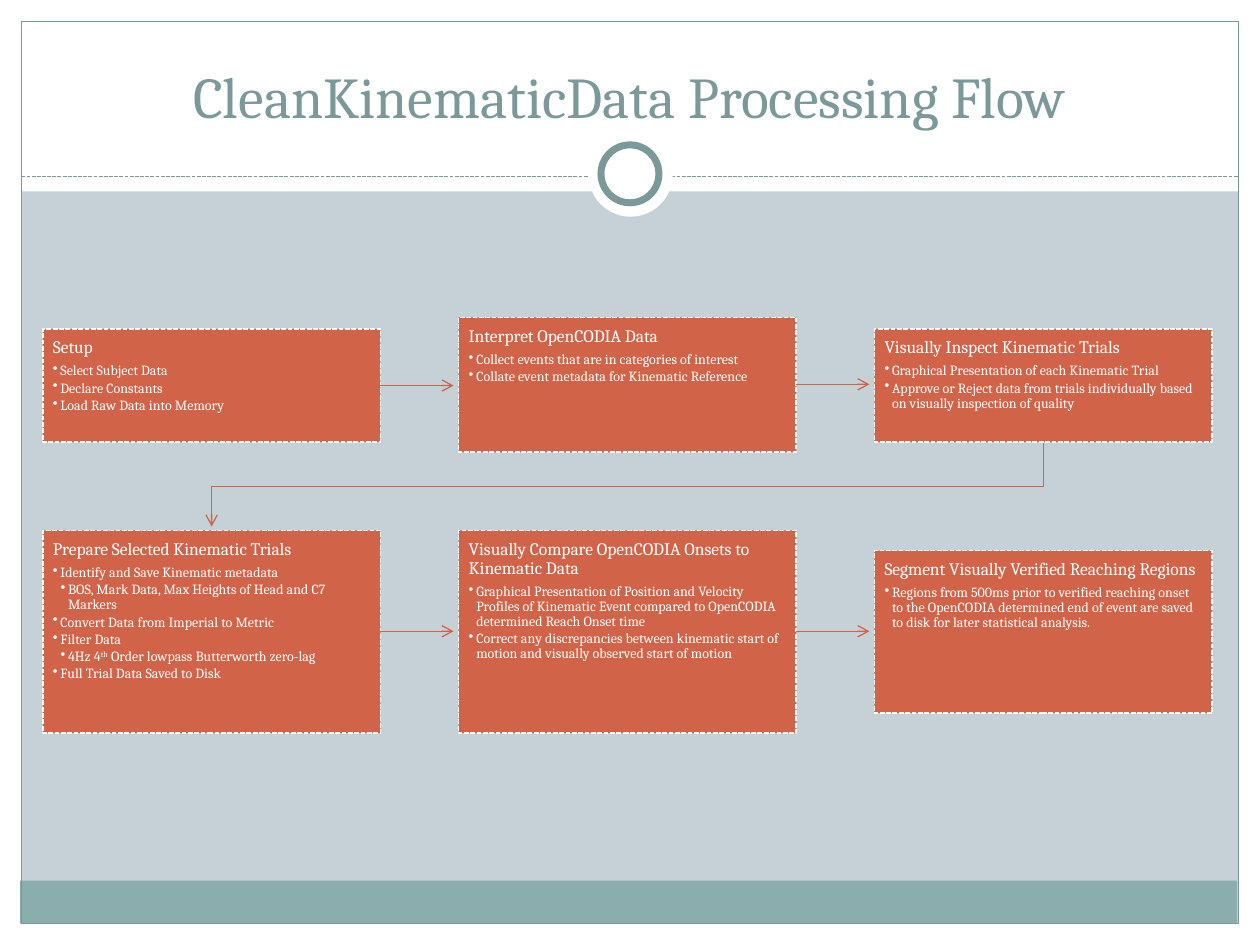
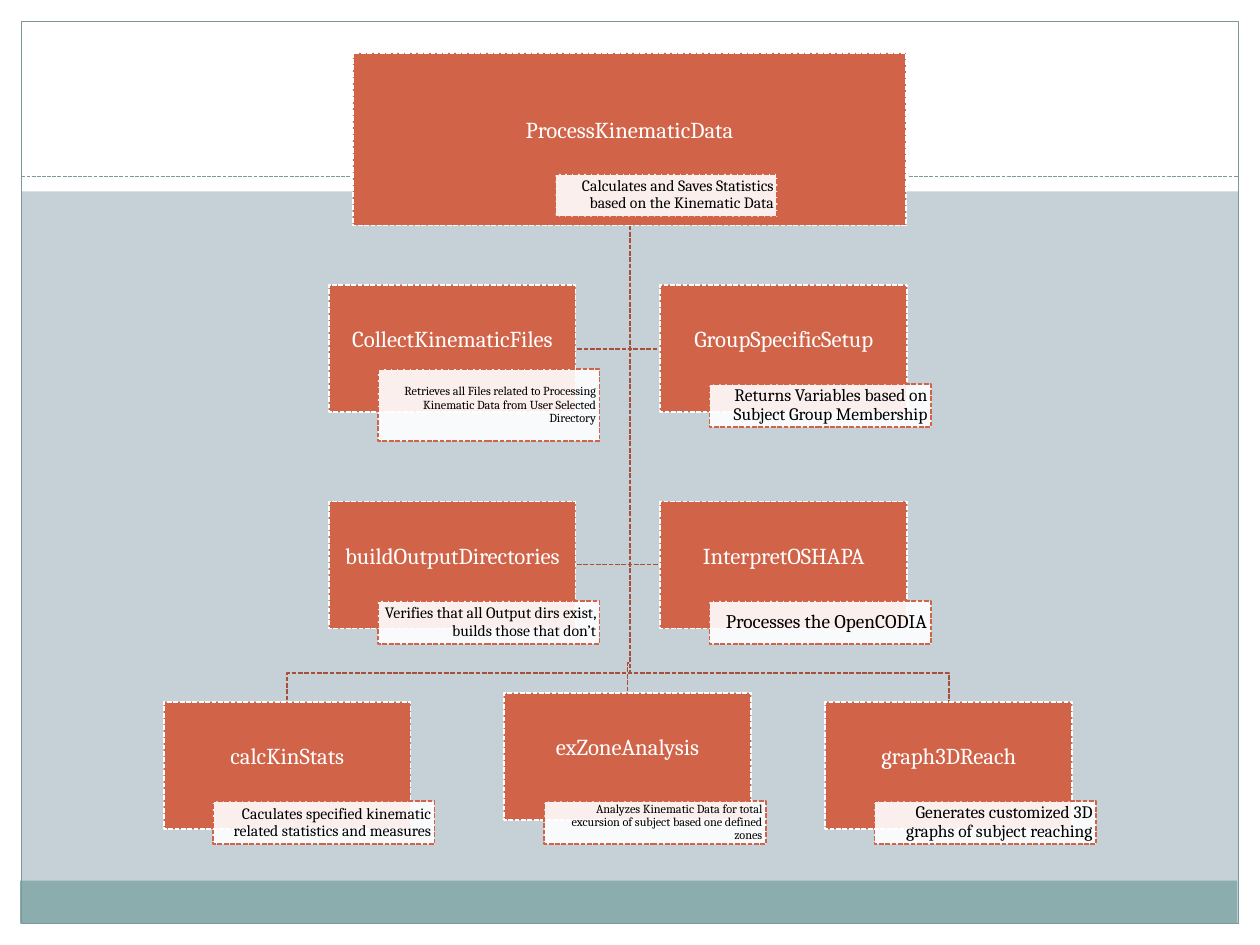
"""Build two slides that chart the processing of kinematic data."""
import dataclasses

import lxml.etree
import pptx
import pptx.dml.color
import pptx.enum.dml
import pptx.enum.shapes
import pptx.enum.text
import pptx.oxml.ns
import pptx.slide
import pptx.text.text
import pptx.util

PX = 9144
FONT = "Cambria"
WHITE, BLACK = "FFFFFF", "000000"
PAPER, TEAL, FOOTER = "C5D1D7", "7C999A", "8CADAE"
ORANGE, RUST = "D16349", "A74F3A"
HAIRLINE, OUTLINE, RING = 0.75, 0.9, 4
BOX_WIDTH, BOX_PITCH, BOX_LEFT, ARROW_LENGTH = 268, 330, 34, 58
HUB = (500, 179)

RECTANGLE = pptx.enum.shapes.MSO_SHAPE.RECTANGLE
OVAL = pptx.enum.shapes.MSO_SHAPE.OVAL
DASH = pptx.enum.dml.MSO_LINE.SQUARE_DOT
ALIGN = pptx.enum.text.PP_ALIGN
ANCHOR = pptx.enum.text.MSO_ANCHOR
qn = pptx.oxml.ns.qn


@dataclasses.dataclass(frozen=True)
class Band:
    left: int
    top: int
    width: int
    height: int
    fill: str = WHITE


@dataclasses.dataclass(frozen=True)
class Step:
    column: int
    top: int
    height: int
    heading: str
    bullets: tuple[tuple[int, str], ...]


@dataclasses.dataclass(frozen=True)
class Node:
    name: str
    left: int
    top: int
    note: str
    note_size: int
    width: int = 196
    height: int = 101
    note_dx: int = 39
    note_dy: int = 79
    note_height: int = 34


BANDS = (
    Band(0, 733, 1000, 17),
    Band(0, 0, 1000, 152),
    Band(0, 0, 17, 750),
    Band(983, 0, 17, 750),
    Band(16, 699, 966, 34, FOOTER),
)

STEPS = (
    Step(0, 261, 90, "Setup", (
        (1, "Select Subject Data"),
        (1, "Declare Constants"),
        (1, "Load Raw Data into Memory"))),
    Step(1, 252, 107, "Interpret OpenCODIA Data", (
        (1, "Collect events that are in categories of interest"),
        (1, "Collate event metadata for Kinematic Reference"))),
    Step(2, 261, 90, "Visually Inspect Kinematic Trials", (
        (1, "Graphical Presentation of each Kinematic Trial"),
        (1, "Approve or Reject data from trials individually based on "
            "visually inspection of quality"))),
    Step(0, 421, 161, "Prepare Selected Kinematic Trials", (
        (1, "Identify and Save Kinematic metadata"),
        (2, "BOS, Mark Data, Max Heights of Head and C7 Markers"),
        (1, "Convert Data from Imperial to Metric"),
        (1, "Filter Data"),
        (2, "4Hz 4^th^ Order lowpass Butterworth zero-lag"),
        (1, "Full Trial Data Saved to Disk"))),
    Step(1, 421, 161, "Visually Compare OpenCODIA Onsets to Kinematic Data", (
        (1, "Graphical Presentation of Position and Velocity Profiles of "
            "Kinematic Event compared to OpenCODIA determined Reach Onset time"),
        (1, "Correct any discrepancies between kinematic start of motion "
            "and visually observed start of motion"))),
    Step(2, 437, 129, "Segment Visually Verified Reaching Regions", (
        (1, "Regions from 500ms prior to verified reaching onset to the "
            "OpenCODIA determined end of event are saved to disk for later "
            "statistical analysis."),)),
)

NODES = (
    Node("ProcessKinematicData", 280, 42,
         "Calculates and Saves Statistics based on the Kinematic Data", 9,
         width=439, height=137, note_dx=161, note_dy=96),
    Node("calcKinStats", 130, 557,
         "Caculates specified kinematic related statistics and measures", 9),
    Node("exZoneAnalysis", 400, 550,
         "Analyzes Kinematic Data for total excursion of subject based one "
         "defined zones", 7, note_dx=32, note_dy=86),
    Node("graph3DReach", 655, 557,
         "Generates customized 3D graphs of subject reaching", 10),
    Node("CollectKinematicFiles", 261, 226,
         "Retrieves all Files related to Processing Kinematic Data from "
         "User Selected Directory", 7, note_dy=67, note_height=57),
    Node("GroupSpecificSetup", 524, 226,
         "Returns Variables based on Subject Group Membership", 10),
    Node("buildOutputDirectories", 261, 398,
         "Verifies that all Output dirs exist, builds those that don’t", 9),
    Node("InterpretOSHAPA", 524, 398, "Processes the OpenCODIA", 11),
)


def rgb(value: str) -> pptx.dml.color.RGBColor:
    """Turn a hex string into a colour."""
    return pptx.dml.color.RGBColor.from_string(value)


def style_line(shape, color: str, width: float, dashed: bool = False,
               arrow: bool = False) -> None:
    """Set the line of a shape or connector."""
    shape.line.color.rgb = rgb(color)
    shape.line.width = pptx.util.Pt(width)
    if dashed:
        shape.line.dash_style = DASH
    if arrow:
        line = shape.element.spPr.find(qn("a:ln"))
        lxml.etree.SubElement(line, qn("a:tailEnd"), type="arrow")


def draw_shape(page: pptx.slide.Slide, kind, left: int, top: int, width: int,
               height: int, fill: str | None = None, line: str | None = None,
               weight: float = HAIRLINE, dashed: bool = False,
               opacity: int = 100):
    """Draw a preset shape with its fill and line."""
    shape = page.shapes.add_shape(
        kind, left * PX, top * PX, width * PX, height * PX)
    shape.shadow.inherit = False
    if fill:
        shape.fill.solid()
        shape.fill.fore_color.rgb = rgb(fill)
    else:
        shape.fill.background()
    if opacity < 100:
        color = shape.element.spPr.find(qn("a:solidFill"))[0]
        lxml.etree.SubElement(color, qn("a:alpha"), val=str(opacity * 1000))
    if line:
        style_line(shape, line, weight, dashed)
    else:
        shape.line.fill.background()
    return shape


def draw_line(page: pptx.slide.Slide, start: tuple[int, int],
              end: tuple[int, int], color: str, dashed: bool = False,
              arrow: bool = False) -> None:
    """Draw a straight line."""
    connector = page.shapes.add_connector(
        pptx.enum.shapes.MSO_CONNECTOR.STRAIGHT,
        *(value * PX for value in start + end))
    style_line(connector, color, HAIRLINE, dashed, arrow)
    lxml.etree.SubElement(connector.element.spPr, qn("a:effectLst"))


def draw_route(page: pptx.slide.Slide, points: list[tuple[int, int]],
               color: str, weight: float, dashed: bool = False,
               arrow: bool = False) -> None:
    """Draw an open line with corners."""
    builder = page.shapes.build_freeform(*points[0], scale=PX)
    builder.add_line_segments(points[1:], close=False)
    route = builder.convert_to_shape()
    route.shadow.inherit = False
    route.fill.background()
    style_line(route, color, weight, dashed, arrow)


def set_frame(shape, anchor, insets: tuple[int, int, int, int]):
    """Set wrapping, anchor and insets, and return the text frame."""
    frame = shape.text_frame
    frame.word_wrap = True
    frame.auto_size = pptx.enum.text.MSO_AUTO_SIZE.NONE
    frame.vertical_anchor = anchor
    (frame.margin_left, frame.margin_top,
     frame.margin_right, frame.margin_bottom) = (side * PX for side in insets)
    return frame


def write_text(para, text: str, *, size: int, color: str = WHITE,
               align=ALIGN.LEFT, spacing: float = 0.9, after: float = 0,
               level: int = 0) -> None:
    """Write a paragraph, raising what stands between carets."""
    para.alignment = align
    para.line_spacing = spacing
    para.space_before = pptx.util.Pt(0)
    para.space_after = pptx.util.Pt(size * after)
    if level:
        para.level = level
        properties = para._p.get_or_add_pPr()
        properties.set("marL", str(6 * level * PX))
        properties.set("indent", str(-6 * PX))
        lxml.etree.SubElement(properties, qn("a:buChar"), char="•")
    for index, part in enumerate(text.split("^")):
        span = para.add_run()
        span.text = part
        span.font.name = FONT
        span.font.size = pptx.util.Pt(size)
        span.font.color.rgb = rgb(color)
        if index % 2:
            span._r.get_or_add_rPr().set("baseline", "30000")


def draw_frame(page: pptx.slide.Slide) -> None:
    """Draw the background, bands and border that the slides share."""
    page.background.fill.solid()
    page.background.fill.fore_color.rgb = rgb(PAPER)
    for band in BANDS:
        draw_shape(page, RECTANGLE, band.left, band.top, band.width,
                   band.height, band.fill)
    draw_shape(page, RECTANGLE, 17, 17, 966, 716, line=TEAL)
    draw_line(page, (17, 140), (983, 140), TEAL, dashed=True)


def draw_title(page: pptx.slide.Slide, text: str) -> None:
    """Draw the ring and place the title over the bands."""
    draw_shape(page, OVAL, 467, 105, 67, 67, WHITE)
    draw_shape(page, OVAL, 477, 115, 46, 46, WHITE, TEAL, RING)
    title = page.shapes.title
    title.left, title.top, title.width, title.height = (
        value * PX for value in (33, 25, 933, 83))
    title.element.getparent().append(title.element)
    frame = set_frame(title, ANCHOR.BOTTOM, (10, 5, 10, 5))
    write_text(frame.paragraphs[0], text, size=33, color=TEAL,
               align=ALIGN.CENTER, spacing=1)


def draw_step(page: pptx.slide.Slide, step: Step) -> None:
    """Draw one box of the flow and the arrow to the next one."""
    left = BOX_LEFT + BOX_PITCH * step.column
    right, middle = left + BOX_WIDTH, step.top + step.height // 2
    box = draw_shape(page, RECTANGLE, left, step.top, BOX_WIDTH, step.height,
                     ORANGE, WHITE, OUTLINE, dashed=True)
    frame = set_frame(box, ANCHOR.TOP, (8, 8, 8, 8))
    write_text(frame.paragraphs[0], step.heading, size=10, after=0.35)
    for level, text in step.bullets:
        write_text(frame.add_paragraph(), text, size=8, after=0.15, level=level)
    if step.column < 2:
        draw_line(page, (right, middle), (right + ARROW_LENGTH, middle),
                  ORANGE, arrow=True)


def draw_node(page: pptx.slide.Slide, node: Node) -> None:
    """Draw one function of the tree with its note."""
    box = draw_shape(page, RECTANGLE, node.left, node.top, node.width,
                     node.height, ORANGE, WHITE, OUTLINE, dashed=True)
    frame = set_frame(box, ANCHOR.MIDDLE, (1, 1, 1, 14))
    write_text(frame.paragraphs[0], node.name, size=13, align=ALIGN.CENTER)
    note = draw_shape(page, RECTANGLE, node.left + node.note_dx,
                      node.top + node.note_dy, 176, node.note_height,
                      WHITE, ORANGE, OUTLINE, dashed=True, opacity=90)
    frame = set_frame(note, ANCHOR.MIDDLE, (3, 1, 3, 1))
    write_text(frame.paragraphs[0], node.note, size=node.note_size,
               color=BLACK, align=ALIGN.RIGHT)


def build_flow(page: pptx.slide.Slide) -> None:
    """Build the slide with the processing flow."""
    draw_frame(page)
    draw_title(page, "CleanKinematicData Processing Flow")
    draw_route(page, [(828, 351), (828, 386), (168, 386), (168, 418)],
               ORANGE, HAIRLINE, arrow=True)
    for step in STEPS:
        draw_step(page, step)


def build_tree(page: pptx.slide.Slide) -> None:
    """Build the slide with the function tree."""
    draw_frame(page)
    trunk = HUB[0]
    routes = [[HUB, (trunk, y), (x, y)] for y in (448, 277) for x in (524, 457)]
    routes += [[HUB, (trunk, bend), (x, bend), (x, end)] for x, bend, end in
               ((753, 534, 557), (498, 526, 550), (228, 534, 557))]
    for route in routes:
        draw_route(page, route, RUST, OUTLINE, dashed=True)
    for node in NODES:
        draw_node(page, node)


def main() -> None:
    """Build and save the deck."""
    deck = pptx.Presentation()
    deck.slide_width, deck.slide_height = 1000 * PX, 750 * PX
    title_only, blank = deck.slide_layouts[5], deck.slide_layouts[6]
    build_flow(deck.slides.add_slide(title_only))
    build_tree(deck.slides.add_slide(blank))
    deck.save("out.pptx")


if __name__ == "__main__":
    main()
